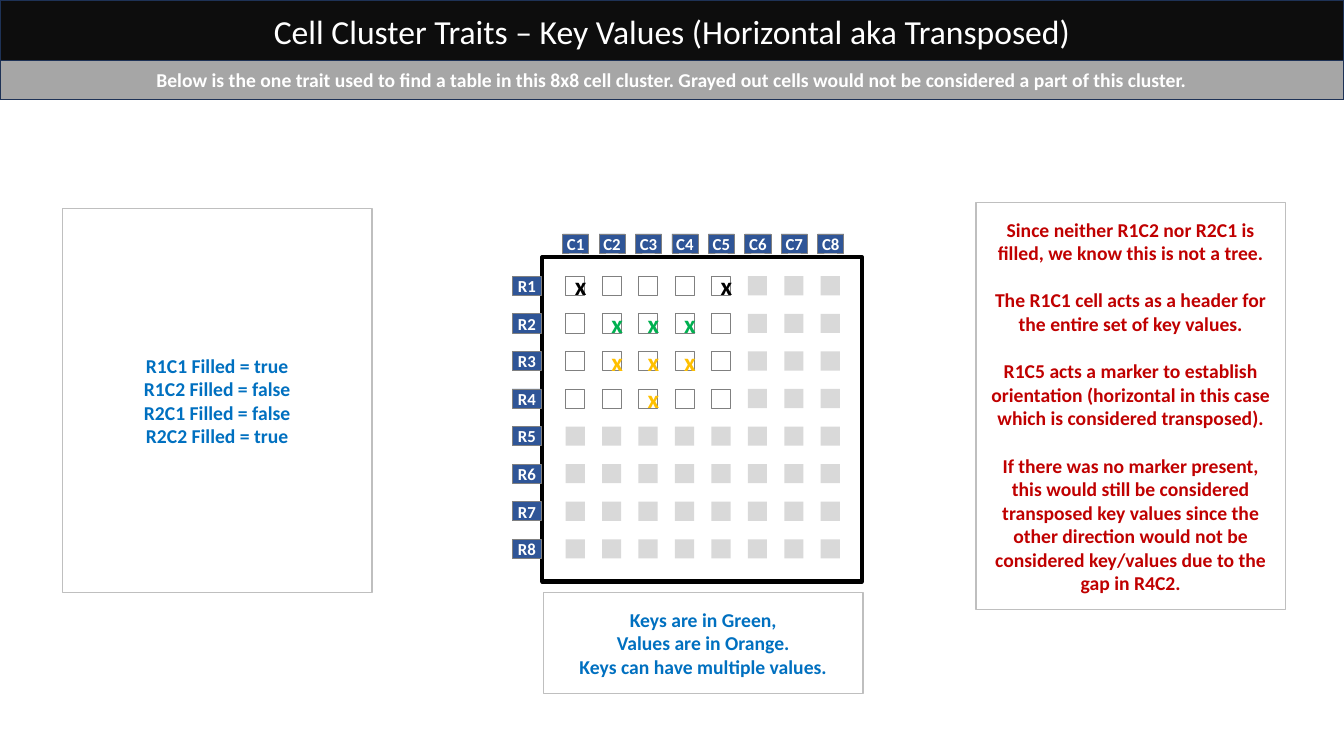
from pptx import Presentation
from pptx.dml.color import RGBColor
from pptx.enum.shapes import MSO_SHAPE as Shape
from pptx.enum.text import MSO_ANCHOR as Anchor, PP_ALIGN as Align
from pptx.util import Inches, Pt

COLORS = {
    "black": "000000", "title": "0D0D0D", "subtitle": "A6A6A6", "navy": "1E3256",
    "label": "2F5597", "outline": "808080", "border": "BFBFBF", "unused": "D9D9D9",
    "white": "FFFFFF", "blue": "0070C0", "red": "C00000", "green": "00B050",
    "orange": "FFC000",
}
FONT = "Calibri"
GRID_SIZE = 8
CELL = 0.19
COLUMN_PITCH = 2.53 / (GRID_SIZE - 1)
ROW_PITCH = 2.61 / (GRID_SIZE - 1)
CLUSTER_ROWS, CLUSTER_COLUMNS = 4, 5
MARKS = {
    (0, 0): "black", (0, 4): "black",
    (1, 1): "green", (1, 2): "green", (1, 3): "green",
    (2, 1): "orange", (2, 2): "orange", (2, 3): "orange",
    (3, 2): "orange",
}
TRAITS = ["R1C1 Filled = true", "R1C2 Filled = false",
          "R2C1 Filled = false", "R2C2 Filled = true"]
LEGEND = ["Keys are in Green,", "Values are in Orange.", "Keys can have multiple values."]
REASONS = [
    "Since neither R1C2 nor R2C1 is filled, we know this is not a tree.",
    "The R1C1 cell acts as a header for the entire set of key values.",
    "R1C5 acts a marker to establish orientation (horizontal in this case "
    "which is considered transposed).",
    "If there was no marker present, this would still be considered transposed "
    "key values since the other direction would not be considered key/values "
    "due to the gap in R4C2.",
]


def color(name):
    return RGBColor.from_string(COLORS[name])


def add_box(page, left, top, width, height, fill=None, line=None, weight=1):
    box = page.shapes.add_shape(
        Shape.RECTANGLE, Inches(left), Inches(top), Inches(width), Inches(height))
    box.shadow.inherit = False
    if fill:
        box.fill.solid()
        box.fill.fore_color.rgb = color(fill)
    else:
        box.fill.background()
    if line:
        box.line.color.rgb = color(line)
        box.line.width = Pt(weight)
    else:
        box.line.fill.background()
    return box


def write(box, lines, size, ink, bold=True, gap=0, wrap=True):
    frame = box.text_frame
    frame.text = "\n".join(lines)
    frame.word_wrap = wrap
    frame.vertical_anchor = Anchor.MIDDLE
    for para in frame.paragraphs:
        para.alignment = Align.CENTER
        for span in para.runs:
            span.font.name = FONT
            span.font.size = Pt(size)
            span.font.bold = bold
            span.font.color.rgb = color(ink)
    for para in frame.paragraphs[:-1]:
        para.space_after = Pt(gap)


def add_header(page, left, top, width):
    title = add_box(page, left, top, width, 0.61, "title", "navy")
    write(title, ["Cell Cluster Traits – Key Values (Horizontal aka Transposed)"],
          24, "white", bold=False)
    subtitle = add_box(page, left, top + 0.6, width, 0.39, "subtitle", "navy")
    write(subtitle, ["Below is the one trait used to find a table in this 8x8 cell cluster. "
                     "Grayed out cells would not be considered a part of this cluster."],
          14, "white")


def add_note(page, left, top, width, height, lines, ink, gap=0):
    note = add_box(page, left, top, width, height, line="border")
    write(note, lines, 14, ink, gap=gap)


def add_label(page, left, top, width, text):
    label = add_box(page, left, top, width, CELL, "label", "outline", 0.5)
    write(label, [text], 12, "white", wrap=False)


def add_cell(page, left, top, row, column):
    if row >= CLUSTER_ROWS or column >= CLUSTER_COLUMNS:
        add_box(page, left, top, CELL, CELL, "unused")
        return
    cell = add_box(page, left, top, CELL, CELL, "white", "outline", 0.5)
    if (row, column) in MARKS:
        write(cell, ["x"], 18, MARKS[row, column])


def add_cluster(page, left, top, width, height):
    columns = [left + 0.23 + index * COLUMN_PITCH for index in range(GRID_SIZE)]
    rows = [top + 0.19 + index * ROW_PITCH for index in range(GRID_SIZE)]
    for number, cell_left in enumerate(columns, 1):
        add_label(page, cell_left - 0.03, top - 0.23, 0.26, f"C{number}")
    add_box(page, left, top, width, height, line="black", weight=3)
    for row, cell_top in enumerate(rows):
        add_label(page, left - 0.3, cell_top, 0.29, f"R{row + 1}")
        for column, cell_left in enumerate(columns):
            add_cell(page, cell_left, cell_top, row, column)


def main():
    deck = Presentation()
    deck.slide_width = Inches(13.33)
    deck.slide_height = Inches(7.5)
    page = deck.slides.add_slide(deck.slide_layouts[6])
    add_header(page, 0, 0, 13.33)
    add_note(page, 0.62, 2.07, 3.07, 3.81, TRAITS, "blue")
    add_cluster(page, 5.38, 2.55, 3.17, 3.22)
    add_note(page, 5.39, 5.88, 3.17, 1, LEGEND, "blue")
    add_note(page, 9.68, 2.01, 3.07, 4.04, REASONS, "red", gap=17)
    deck.save("out.pptx")


if __name__ == "__main__":
    main()
